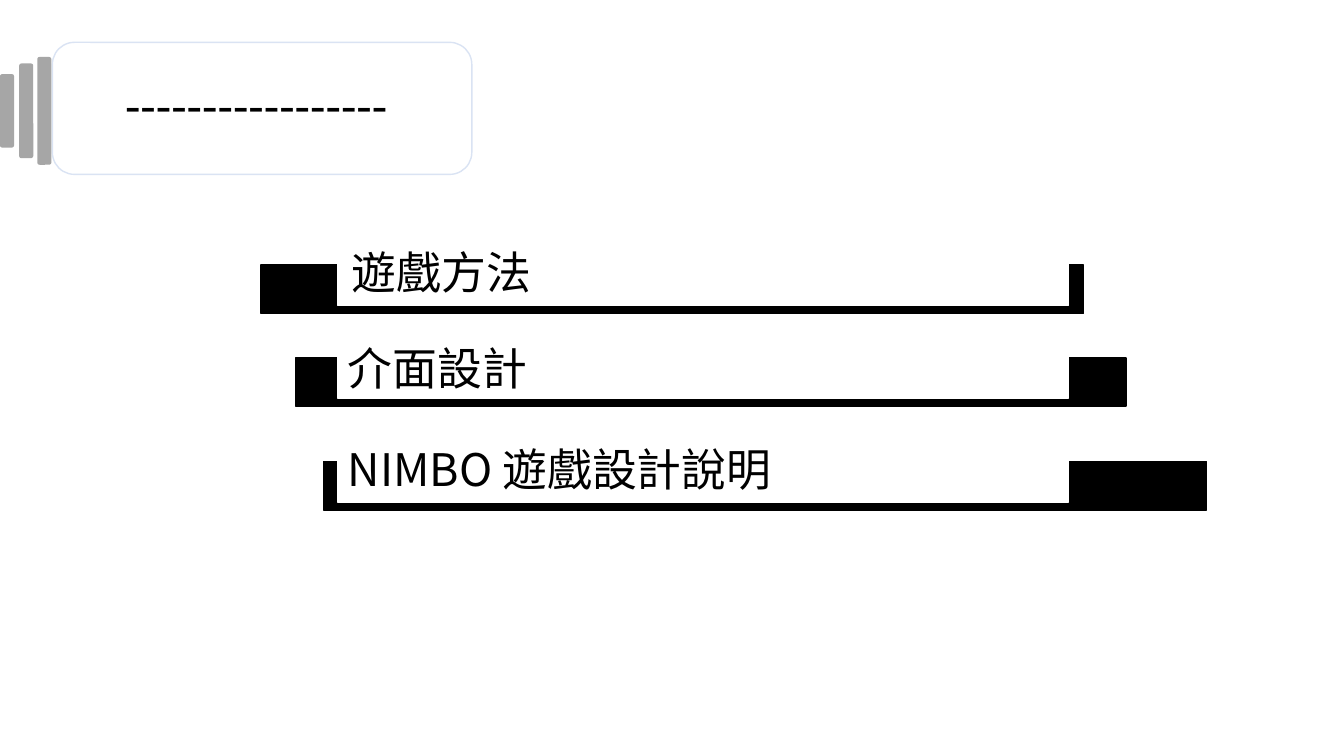
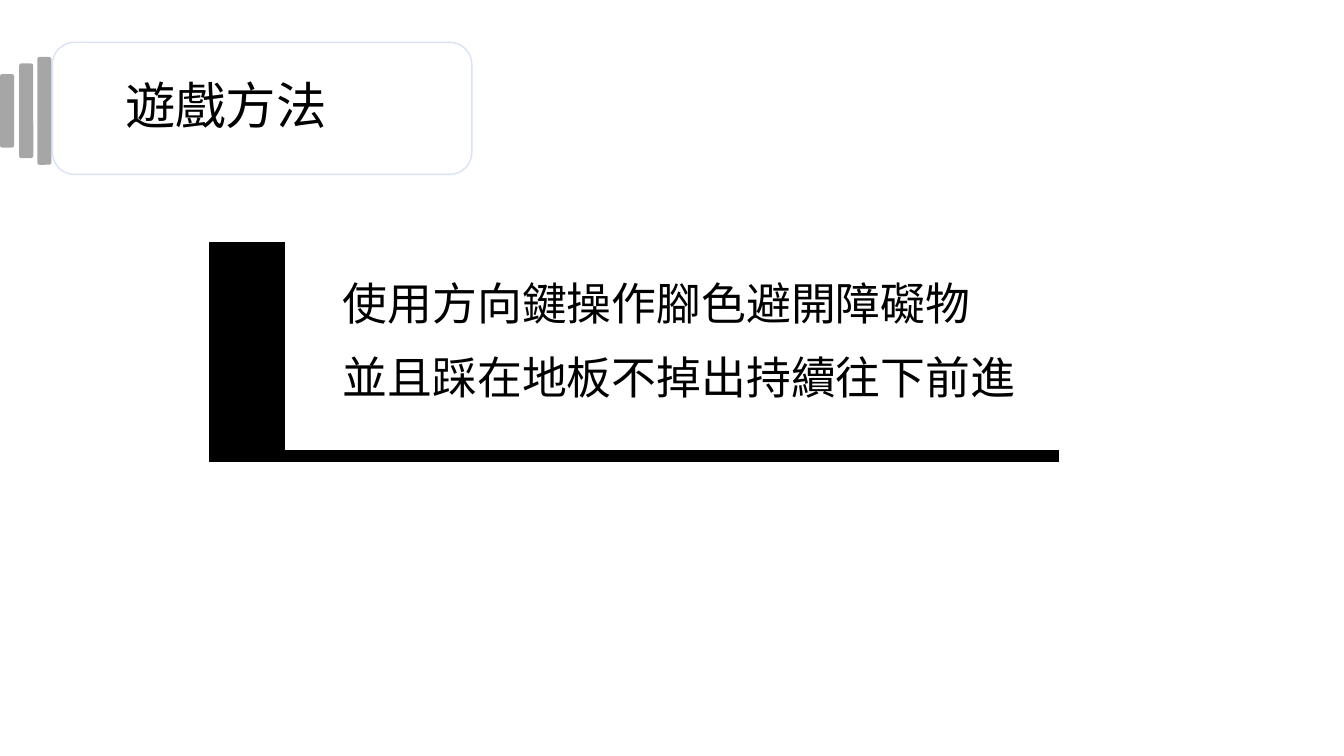
from pptx import Presentation
from pptx.dml.color import RGBColor
from pptx.enum import shapes, text
from pptx.oxml import ns, xmlchemy
from pptx.util import Inches, Pt

BLACK = RGBColor(0x00, 0x00, 0x00)
WHITE = RGBColor(0xFF, 0xFF, 0xFF)
GREY = RGBColor(0xA6, 0xA6, 0xA6)
PALE_BLUE = RGBColor(0xDA, 0xE3, 0xF3)
LATIN_FONT = "Calibri"
CHINESE_FONT = "Noto Sans CJK TC"
TITLE_ONLY, TITLE_AND_BODY = 5, 1


class DeckBuilder:
    """Holds the shared style and the slide being built."""

    def __init__(self):
        self.deck = Presentation()
        self.deck.slide_width = Inches(13.33)
        self.deck.slide_height = Inches(7.5)
        self.page = None

    def new_page(self, title, layout, title_font=CHINESE_FONT):
        self.page = self.deck.slides.add_slide(self.deck.slide_layouts[layout])
        # Header card
        self.block(0.52, 0.42, 4.16, 1.31, WHITE, PALE_BLUE, rounded=True)
        # Title
        self.set_text(self.page.shapes.title, (1.14, 0.35, 2.9, 1.45), [title], 36, title_font)
        self.to_front(self.page.shapes.title)
        # Grey bars, growing towards the card and centred on one height
        for left, height in ((0, 0.73), (0.19, 0.94), (0.37, 1.07)):
            self.block(left, 1.1 - height / 2, 0.14, height, GREY, rounded=True)

    def block(self, left, top, width, height, fill, line=None, rounded=False):
        kind = shapes.MSO_SHAPE.ROUNDED_RECTANGLE if rounded else shapes.MSO_SHAPE.RECTANGLE
        box = self.page.shapes.add_shape(
            kind, Inches(left), Inches(top), Inches(width), Inches(height))
        box.shadow.inherit = False
        box.fill.solid()
        box.fill.fore_color.rgb = fill
        if line is None:
            box.line.fill.background()
        else:
            box.line.color.rgb = line
            box.line.width = Pt(1)

    def frame(self, outer, inner):
        """A white panel over a black block, which shows at the edges."""
        self.block(*outer, BLACK, BLACK)
        self.block(*inner, WHITE, WHITE)

    def label(self, place, line):
        box = self.page.shapes.add_textbox(0, 0, 0, 0)
        self.set_text(box, place, [line], 32, CHINESE_FONT)

    def body(self, place, lines):
        box = self.page.placeholders[1]
        self.set_text(box, place, lines, 32, CHINESE_FONT, gap=18)
        # Plain lines without bullets
        for para in box.text_frame.paragraphs:
            props = para._p.get_or_add_pPr()
            props.set("marL", "0")
            props.set("indent", "0")
            props.find(ns.qn("a:defRPr")).addprevious(xmlchemy.OxmlElement("a:buNone"))
        self.to_front(box)

    def set_text(self, box, place, lines, size, font, gap=0):
        box.left, box.top, box.width, box.height = map(Inches, place)
        frame = box.text_frame
        frame.word_wrap = True
        frame.auto_size = text.MSO_AUTO_SIZE.NONE
        frame.vertical_anchor = text.MSO_ANCHOR.MIDDLE
        frame.text = "\n".join(lines)
        for index, para in enumerate(frame.paragraphs):
            para.alignment = text.PP_ALIGN.LEFT
            para.line_spacing = 0.9
            para.space_before = Pt(gap if index else 0)
            para.font.size = Pt(size)
            para.font.color.rgb = BLACK
            para.font.name = font
            # Chinese characters take their own font entry
            east_asian = xmlchemy.OxmlElement("a:ea")
            east_asian.set("typeface", font)
            para._p.pPr.find(ns.qn("a:defRPr")).append(east_asian)

    def to_front(self, box):
        self.page.shapes._spTree.append(box._element)


def build_contents(builder):
    builder.new_page("-" * 17, TITLE_ONLY, LATIN_FONT)
    # Each row: caption, panel top, black left and right edges, caption left and top
    rows = (
        ("遊戲方法", 2.55, 2.59, 10.75, 3.39, 2),
        ("介面設計", 3.47, 2.93, 11.17, 3.35, 2.96),
        ("NIMBO 遊戲設計說明", 4.5, 3.21, 11.97, 3.35, 3.96),
    )
    for caption, top, left, right, text_left, text_top in rows:
        builder.frame((left, top + 0.08, right - left, 0.48), (3.35, top, 7.25, 0.48))
        builder.label((text_left, text_top, 7.95, 1.45), caption)


def build_rules(builder):
    builder.new_page("遊戲方法", TITLE_AND_BODY)
    builder.frame((2.08, 2.41, 8.42, 2.17), (2.83, 2.34, 7.67, 2.12))
    builder.body((3.3, 2.53, 7.95, 1.75),
                 ["使用方向鍵操作腳色避開障礙物", "並且踩在地板不掉出持續往下前進"])


def main():
    builder = DeckBuilder()
    build_contents(builder)
    build_rules(builder)
    builder.deck.save("out.pptx")


if __name__ == "__main__":
    main()
